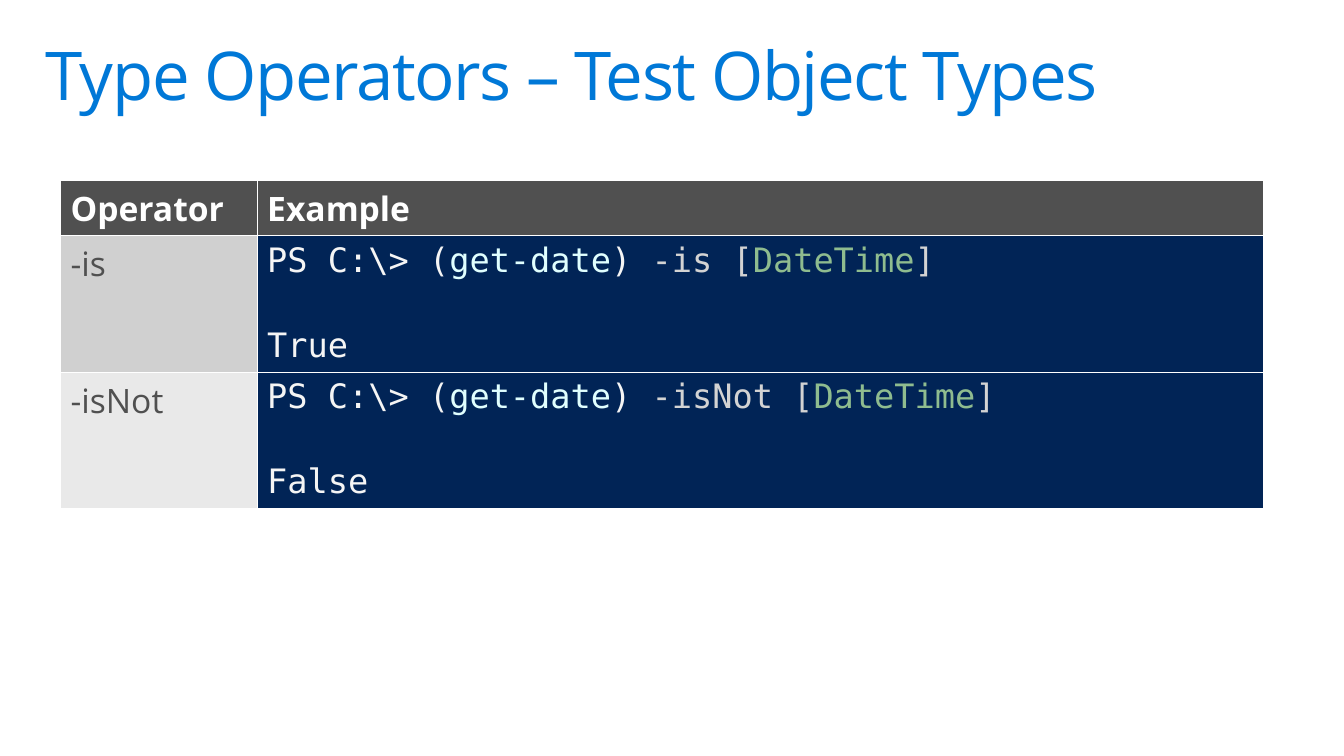
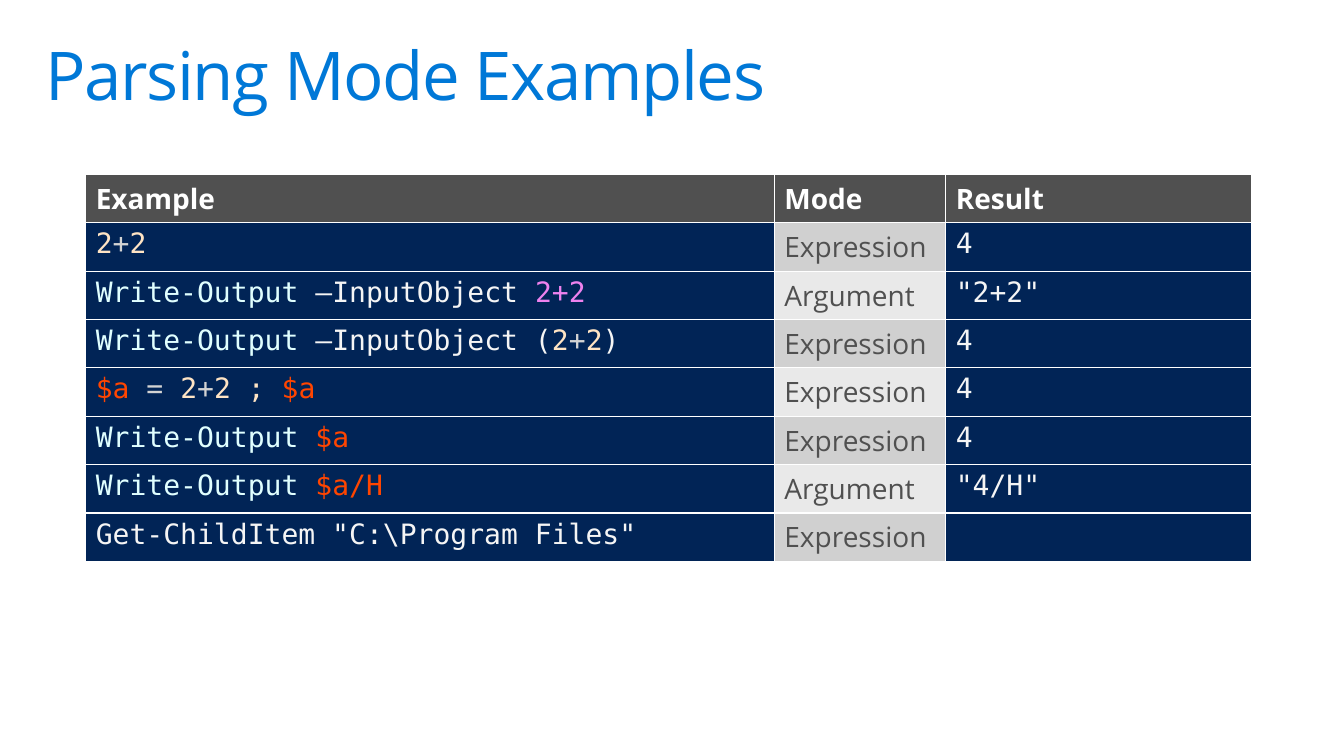
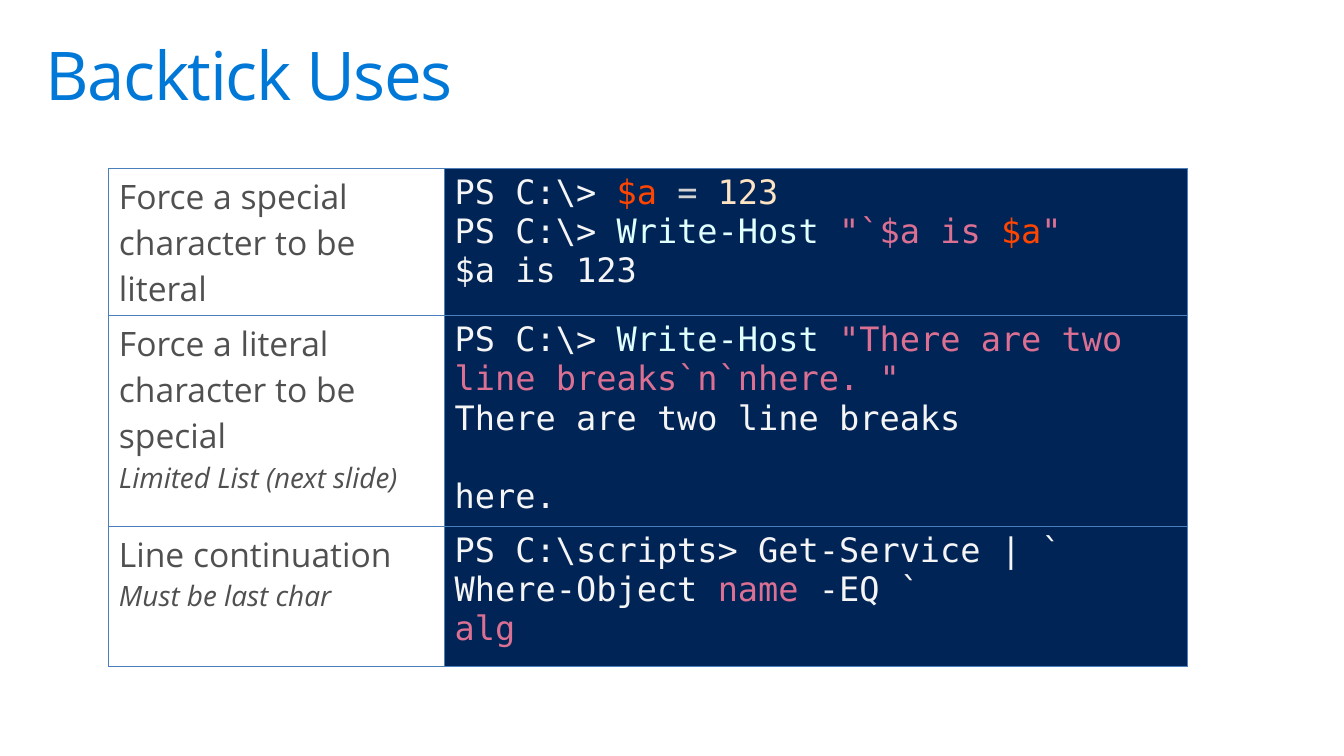
from lxml.etree import SubElement
from pptx import Presentation
from pptx.dml.color import RGBColor
from pptx.enum.text import MSO_ANCHOR
from pptx.oxml.ns import qn
from pptx.util import Inches, Pt

BLUE = RGBColor(0x00, 0x78, 0xD7)
GRAY = RGBColor(0x50, 0x50, 0x50)
WHITE = RGBColor(0xFF, 0xFF, 0xFF)
BAND_DARK = RGBColor(0xD0, 0xD0, 0xD0)
BAND_LIGHT = RGBColor(0xE9, 0xE9, 0xE9)
GRID_BLUE = RGBColor(0x4B, 0x7E, 0xBC)
CONSOLE = RGBColor(0x01, 0x24, 0x56)
PLAIN = RGBColor(0xF5, 0xF5, 0xF5)
COMMAND = RGBColor(0xE0, 0xFF, 0xFF)
OPERATOR = RGBColor(0xD3, 0xD3, 0xD3)
TYPE_NAME = RGBColor(0x8F, 0xBC, 0x8F)
NUMBER = RGBColor(0xFF, 0xE4, 0xC4)
ARGUMENT = RGBColor(0xEE, 0x82, 0xEE)
VARIABLE = RGBColor(0xFF, 0x45, 0x00)
STRING = RGBColor(0xDB, 0x70, 0x93)

SANS, MONO = "Open Sans", "DejaVu Sans Mono"
TITLE_BOX = (0.29, 0.32, 12.75, 0.98)
PROMPT = ("PS C:\\> ", PLAIN)


def add_text(paragraph, text, size, color, font=SANS, bold=False, italic=False):
    """Append one formatted run to a paragraph."""
    run = paragraph.add_run()
    run.text = text
    run.font.name, run.font.size = font, Pt(size)
    run.font.bold, run.font.italic = bold, italic
    run.font.color.rgb = color
    return run


def add_titled_slide(deck, title):
    """Add a blank slide with the shared title."""
    slide = deck.slides.add_slide(deck.slide_layouts[6])
    frame = slide.shapes.add_textbox(*map(Inches, TITLE_BOX)).text_frame
    frame.word_wrap = True
    frame.vertical_anchor = MSO_ANCHOR.TOP
    frame.margin_left = frame.margin_right = Inches(0.16)
    frame.margin_top = frame.margin_bottom = Inches(0.1)
    heading = frame.paragraphs[0]
    heading.line_spacing = 0.9
    run = add_text(heading, title, 48, BLUE)
    run.font._element.set("spc", "-100")
    return slide


def set_borders(cell, color, width):
    """Draw the four edges of a table cell."""
    properties = cell._tc.get_or_add_tcPr()
    for position, edge in enumerate(("a:lnL", "a:lnR", "a:lnT", "a:lnB")):
        line = SubElement(properties, qn(edge), w=str(Pt(width)))
        fill = SubElement(line, qn("a:solidFill"))
        SubElement(fill, qn("a:srgbClr"), val=str(color))
        properties.insert(position, line)


def add_grid(slide, left, top, widths, heights, border, border_width):
    """Add a plain bordered table and return it."""
    box = map(Inches, (left, top, sum(widths), sum(heights)))
    table = slide.shapes.add_table(len(heights), len(widths), *box).table
    table.first_row = table.horz_banding = False
    for column, width in zip(table.columns, widths):
        column.width = Inches(width)
    for row, height in zip(table.rows, heights):
        row.height = Inches(height)
    for cell in table.iter_cells():
        set_borders(cell, border, border_width)
    return table


def fill_cell(cell, color):
    """Give a cell a solid fill."""
    cell.fill.solid()
    cell.fill.fore_color.rgb = color


def write_header(table, names, size):
    """Fill the first row with bold column names."""
    for cell, name in zip(table.rows[0].cells, names):
        fill_cell(cell, GRAY)
        add_text(cell.text_frame.paragraphs[0], name, size, WHITE, bold=True)


def write_banded(table, row, column, label, size):
    """Write a label on the band colour of its row."""
    cell = table.cell(row, column)
    fill_cell(cell, BAND_DARK if row % 2 else BAND_LIGHT)
    add_text(cell.text_frame.paragraphs[0], label, size, GRAY)


def write_code(cell, lines, size, gap=0):
    """Write coloured console lines, with a gap above the last one."""
    fill_cell(cell, CONSOLE)
    frame = cell.text_frame
    for index, tokens in enumerate(lines):
        paragraph = frame.add_paragraph() if index else frame.paragraphs[0]
        for text, color in tokens:
            add_text(paragraph, text, size, color, MONO)
    if gap:
        paragraph.space_before = Pt(gap)


def build_type_operators(deck):
    """Build the slide on operators that test types."""
    slide = add_titled_slide(deck, "Type Operators – Test Object Types")
    table = add_grid(slide, 0.6, 1.79, (1.95, 9.98), (0.55, 1.33, 1.33), WHITE, 1)
    write_header(table, ("Operator", "Example"), 24)
    for row, (operator, result) in enumerate((("-is", "True"), ("-isNot", "False")), 1):
        write_banded(table, row, 0, operator, 24)
        test = [("PS C:\\> (", PLAIN), ("get-date", COMMAND), (") ", PLAIN),
                (f"{operator} [", OPERATOR), ("DateTime", TYPE_NAME), ("]", OPERATOR)]
        write_code(table.cell(row, 1), [test, [(result, PLAIN)]], 24, gap=32.7)


def build_parsing_modes(deck):
    """Build the slide on parsing modes."""
    addition = [("2", NUMBER), ("+", OPERATOR), ("2", NUMBER)]
    write_output = ("Write-Output", COMMAND)
    examples = (
        (addition, "Expression", "4"),
        ([write_output, (" –InputObject ", PLAIN), ("2+2", ARGUMENT)], "Argument", '"2+2"'),
        ([write_output, (" –InputObject (", PLAIN), *addition, (")", PLAIN)], "Expression", "4"),
        ([("$a ", VARIABLE), ("= ", OPERATOR), *addition, (" ; ", NUMBER), ("$a", VARIABLE)],
         "Expression", "4"),
        ([write_output, (" $a", VARIABLE)], "Expression", "4"),
        ([write_output, (" $a/H", VARIABLE)], "Argument", '"4/H"'),
        ([('Get-ChildItem "C:\\Program Files"', PLAIN)], "Expression", ""),
    )
    slide = add_titled_slide(deck, "Parsing Mode Examples")
    heights = [0.48] * (len(examples) + 1)
    table = add_grid(slide, 0.85, 1.73, (6.83, 1.7, 3.03), heights, WHITE, 1)
    write_header(table, ("Example", "Mode", "Result"), 20)
    for row, (example, mode, result) in enumerate(examples, 1):
        write_code(table.cell(row, 0), [example], 20)
        write_banded(table, row, 1, mode, 20)
        write_code(table.cell(row, 2), [[(result, PLAIN)]] if result else [], 20)


def build_backtick_uses(deck):
    """Build the slide on uses of the backtick."""
    write_host = ("Write-Host ", COMMAND)
    uses = (
        ("Force a special character to be literal", "", [
            [PROMPT, ("$a ", VARIABLE), ("= ", OPERATOR), ("123", NUMBER)],
            [PROMPT, write_host, ('"`$a is ', STRING), ("$a", VARIABLE), ('"', STRING)],
            [("$a is 123", PLAIN)]], 0),
        ("Force a literal character to be special", "Limited List (next slide)", [
            [PROMPT, write_host, ('"There are two line breaks`n`nhere. "', STRING)],
            [("There are two line breaks", PLAIN)],
            [("here.", PLAIN)]], 28),
        ("Line continuation", "Must be last char", [
            [("PS C:\\scripts> Get-Service | `", PLAIN)],
            [("Where-Object ", PLAIN), ("name", STRING), (" -EQ `", PLAIN)],
            [("alg", STRING)]], 0),
    )
    slide = add_titled_slide(deck, "Backtick Uses")
    table = add_grid(slide, 1.08, 1.67, (3.33, 7.37), (1.46, 2.04, 1.39), GRID_BLUE, 0.75)
    for row, (use, note, lines, gap) in enumerate(uses):
        use_cell = table.cell(row, 0)
        use_cell.fill.background()
        paragraph = use_cell.text_frame.paragraphs[0]
        add_text(paragraph, use, 24, GRAY)
        if note:
            paragraph.add_line_break()
            add_text(paragraph, note, 20, GRAY, italic=True)
        write_code(table.cell(row, 1), lines, 24, gap)


def main():
    """Build and save the deck."""
    deck = Presentation()
    deck.slide_width, deck.slide_height = Inches(13.33), Inches(7.5)
    build_type_operators(deck)
    build_parsing_modes(deck)
    build_backtick_uses(deck)
    deck.save("out.pptx")


main()
